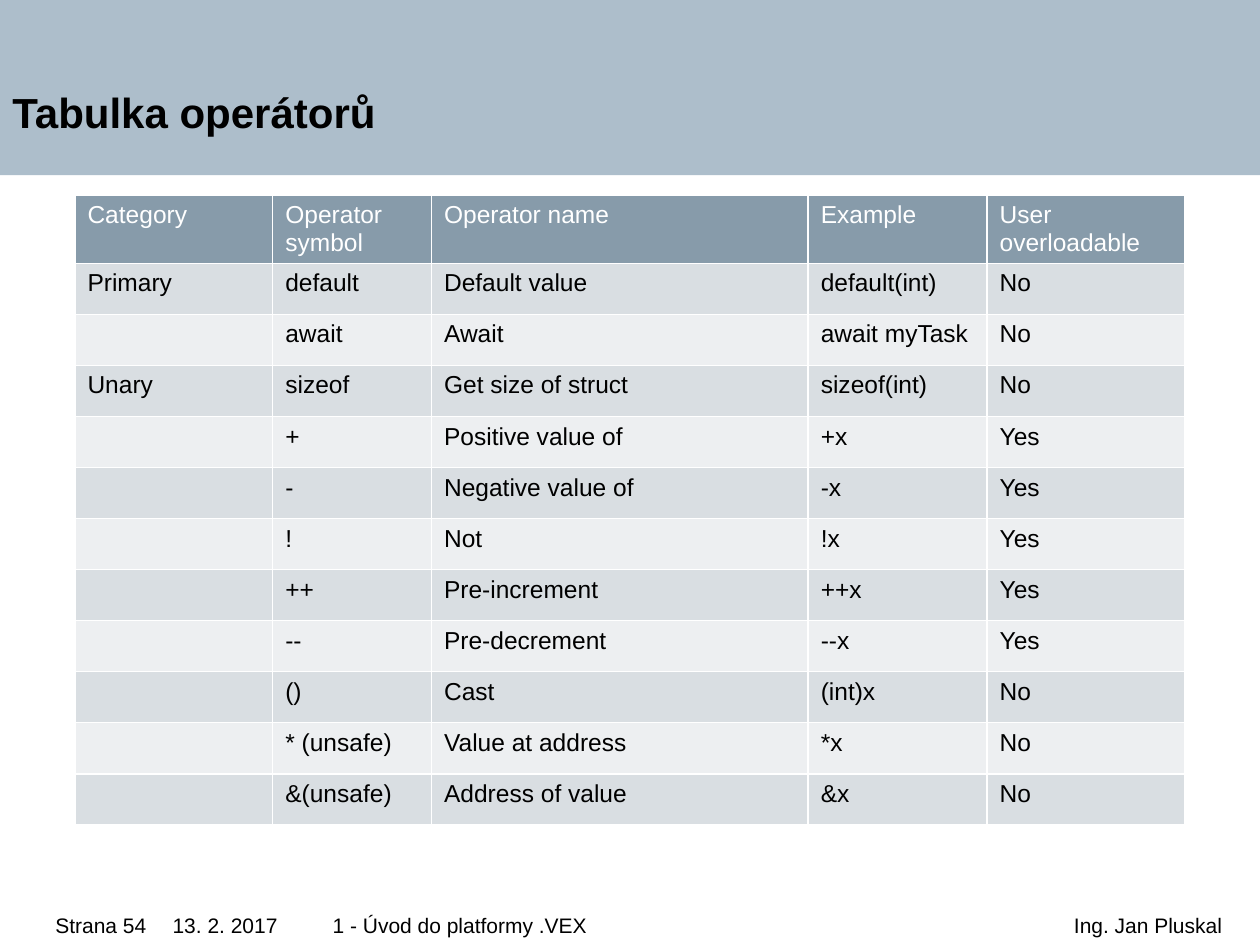
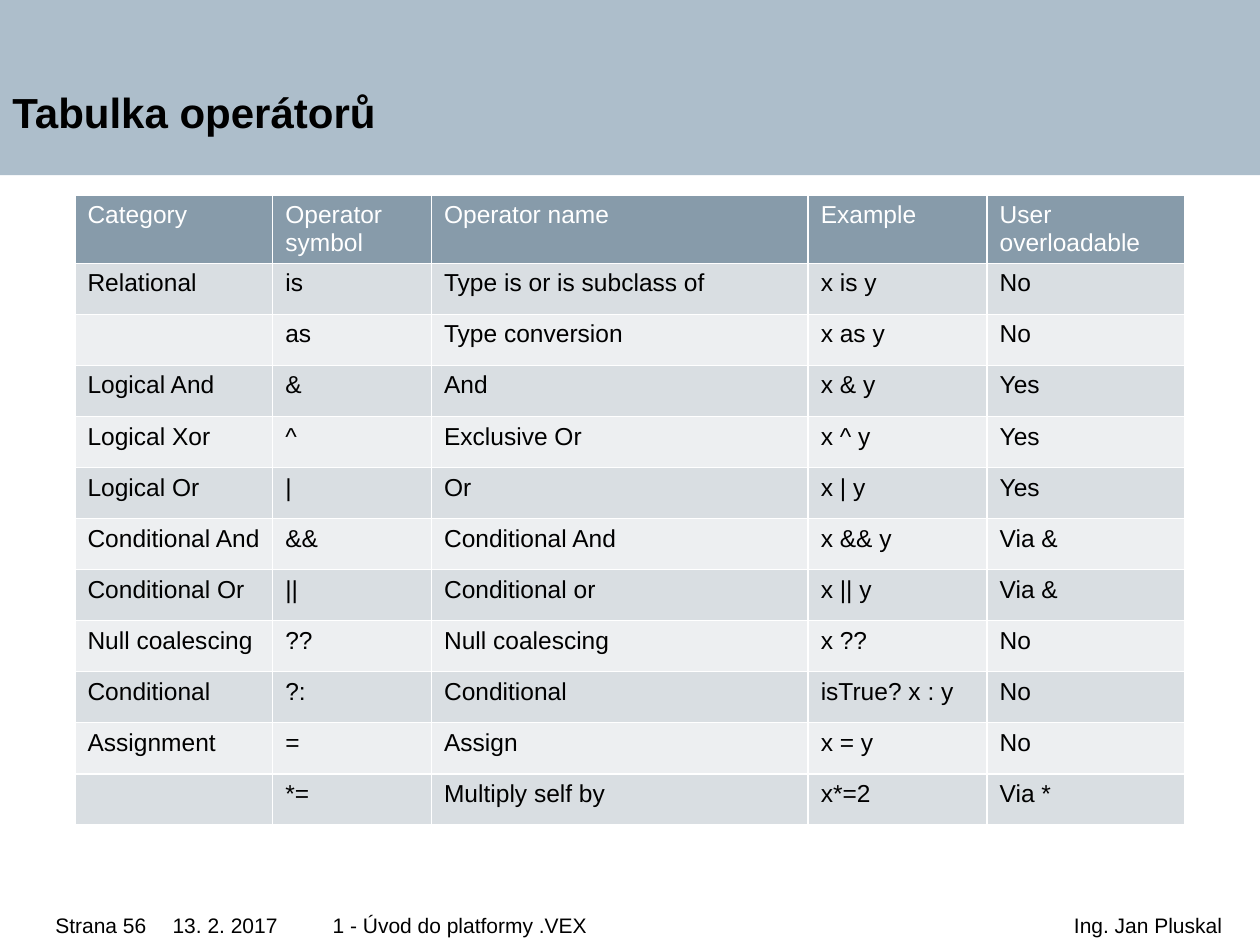
import pptx
import pptx.util
import pptx.dml.color
import pptx.enum.shapes
import pptx.enum.text
import pptx.oxml
import pptx.oxml.ns

# Content
TITLE = "Tabulka operátorů"
DATE, COURSE, AUTHOR = "13. 2. 2017", "1 - Úvod do platformy .VEX", "Ing. Jan Pluskal"
HEADER = ("Category", "Operator symbol", "Operator name", "Example", "User overloadable")
OPERATORS = {  # page number: table rows
    54: [
        ("Primary", "default", "Default value", "default(int)", "No"),
        ("", "await", "Await", "await myTask", "No"),
        ("Unary", "sizeof", "Get size of struct", "sizeof(int)", "No"),
        ("", "+", "Positive value of", "+x", "Yes"),
        ("", "-", "Negative value of", "-x", "Yes"),
        ("", "!", "Not", "!x", "Yes"),
        ("", "++", "Pre-increment", "++x", "Yes"),
        ("", "--", "Pre-decrement", "--x", "Yes"),
        ("", "()", "Cast", "(int)x", "No"),
        ("", "* (unsafe)", "Value at address", "*x", "No"),
        ("", "&(unsafe)", "Address of value", "&x", "No"),
    ],
    56: [
        ("Relational", "is", "Type is or is subclass of", "x is y", "No"),
        ("", "as", "Type conversion", "x as y", "No"),
        ("Logical And", "&", "And", "x & y", "Yes"),
        ("Logical Xor", "^", "Exclusive Or", "x ^ y", "Yes"),
        ("Logical Or", "|", "Or", "x | y", "Yes"),
        ("Conditional And", "&&", "Conditional And", "x && y", "Via &"),
        ("Conditional Or", "||", "Conditional or", "x || y", "Via &"),
        ("Null coalescing", "??", "Null coalescing", "x ??", "No"),
        ("Conditional", "?:", "Conditional", "isTrue? x : y", "No"),
        ("Assignment", "=", "Assign", "x = y", "No"),
        ("", "*=", "Multiply self by", "x*=2", "Via *"),
    ],
}

# Shared look, lengths in inches
W, H = 10, 7.5
BAND_H = 1.39
FONT, BLACK, WHITE = "Arial", "000000", "FFFFFF"
BAND, HEAD_FILL, ROW_FILLS = "ADBECB", "879BAA", ("D9DEE2", "EDEFF1")
COLS = (1.57, 1.26, 2.99, 1.42, 1.57)
TABLE_TOP, TABLE_H, HEAD_H = 1.55, 5.0, 0.54
FOOT_H = 0.28
LEFT, RIGHT = pptx.enum.text.PP_ALIGN.LEFT, pptx.enum.text.PP_ALIGN.RIGHT
INCH = pptx.util.Inches


def rgb(color):
    return pptx.dml.color.RGBColor.from_string(color)


def add_run(p, text, size, color=BLACK, bold=False):
    r = p.add_run()
    r.text = text
    r.font.name, r.font.size, r.font.bold = FONT, pptx.util.Pt(size), bold
    r.font.color.rgb = rgb(color)


def add_text(s, box, insets, text, size, bold=False, align=LEFT, spacing=1.0, bottom=False):
    tf = s.shapes.add_textbox(*map(INCH, box)).text_frame
    tf.word_wrap = True
    tf.margin_left, tf.margin_top, tf.margin_right, tf.margin_bottom = map(INCH, insets)
    anchor = pptx.enum.text.MSO_ANCHOR
    tf.vertical_anchor = anchor.BOTTOM if bottom else anchor.TOP
    p = tf.paragraphs[0]
    p.alignment, p.line_spacing = align, spacing
    add_run(p, text, size, bold=bold)


def add_frame(s, page):
    """Title band, title and footer."""
    sp = s.shapes.add_shape(pptx.enum.shapes.MSO_SHAPE.RECTANGLE, 0, 0, INCH(W), INCH(BAND_H))
    sp.shadow.inherit = False
    sp.fill.solid()
    sp.fill.fore_color.rgb = rgb(BAND)
    sp.line.fill.background()
    add_text(s, (0, 0, 6.55, BAND_H), (0.1, 0.1, 0.8, 0.3), TITLE, 24, bold=True, bottom=True)

    footers = (  # left, width, left inset, right inset, text, alignment
        (0, 1.37, 0.44, 0, f"Strana {page}", LEFT),
        (0.16, 2.79, 1.21, 0, DATE, LEFT),
        (2.64, 3.58, 0, 0.3, COURSE, LEFT),
        (2.95, 7.05, 0, 0.3, AUTHOR, RIGHT),
    )
    for x, w, inset_l, inset_r, text, align in footers:
        add_text(s, (x, H - FOOT_H, w, FOOT_H), (inset_l, 0, inset_r, 0.09),
                 text, 12, align=align, spacing=1.1)


def style_cell(cell, fill):
    """White one-point borders first, then the fill, as the schema orders them."""
    tc_pr = cell._tc.get_or_add_tcPr()
    for side in "LRTB":
        tc_pr.append(pptx.oxml.parse_xml(
            f'<a:ln{side} {pptx.oxml.ns.nsdecls("a")} w="12700"><a:solidFill>'
            f'<a:srgbClr val="{WHITE}"/></a:solidFill></a:ln{side}>'))
    cell.fill.solid()
    cell.fill.fore_color.rgb = rgb(fill)


def add_operators(s, rows):
    width = sum(COLS)
    table = s.shapes.add_table(len(rows) + 1, len(COLS), INCH((W - width) / 2),
                               INCH(TABLE_TOP), INCH(width), INCH(TABLE_H)).table
    for col, w in zip(table.columns, COLS):
        col.width = INCH(w)
    for i, values in enumerate([HEADER] + rows):
        head = i == 0
        table.rows[i].height = INCH(HEAD_H if head else (TABLE_H - HEAD_H) / len(rows))
        for j, text in enumerate(values):
            cell = table.cell(i, j)
            style_cell(cell, HEAD_FILL if head else ROW_FILLS[(i - 1) % 2])
            if head:  # room for two lines
                cell.margin_bottom = INCH(0.01)
            if text:
                add_run(cell.text_frame.paragraphs[0], text, 14, WHITE if head else BLACK)


def main():
    prs = pptx.Presentation()
    prs.slide_width, prs.slide_height = INCH(W), INCH(H)
    for page, rows in OPERATORS.items():
        s = prs.slides.add_slide(prs.slide_layouts[6])
        add_frame(s, page)
        add_operators(s, rows)
    prs.save("out.pptx")


if __name__ == "__main__":
    main()
